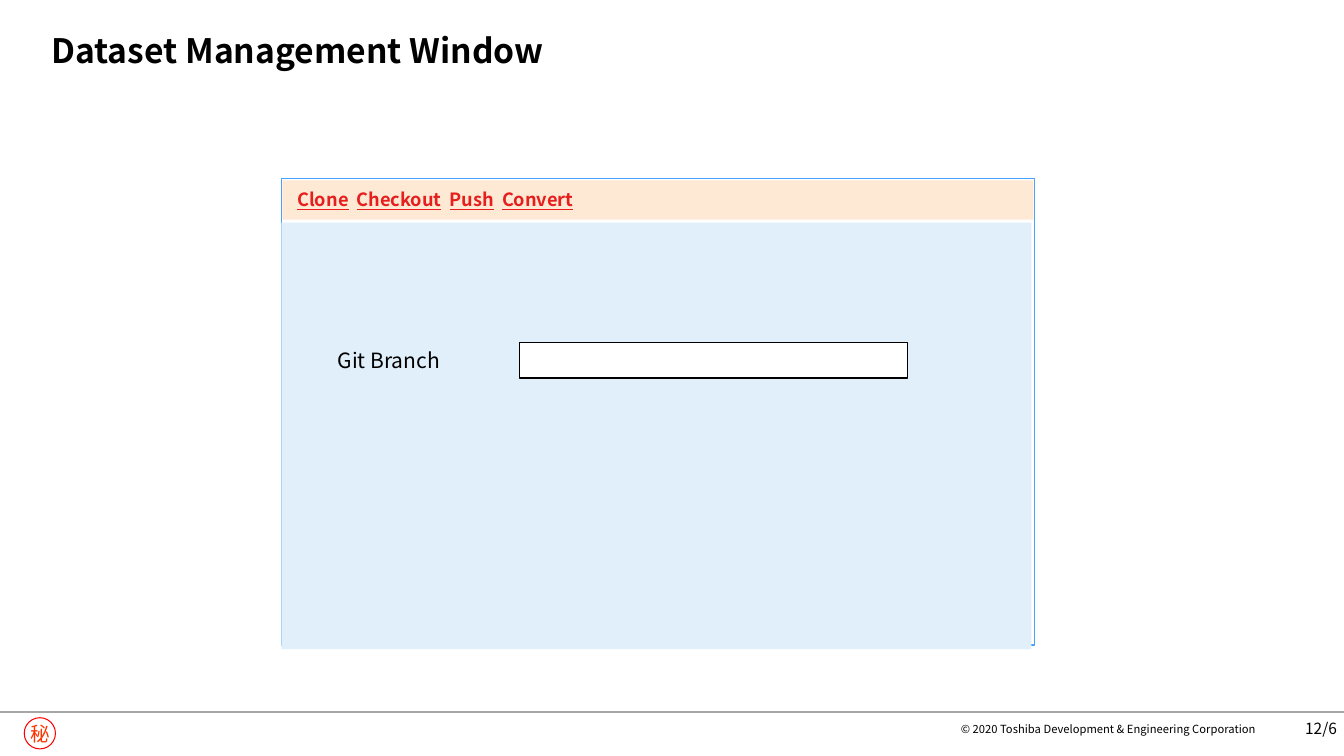
import pptx
import pptx.util
import pptx.dml.color
import pptx.enum.shapes
import pptx.enum.text
import pptx.oxml.ns
import lxml.etree

Inches, Pt = pptx.util.Inches, pptx.util.Pt
RGB = pptx.dml.color.RGBColor.from_string
SHAPE = pptx.enum.shapes.MSO_SHAPE
ALIGN = pptx.enum.text.PP_ALIGN
ANCHOR = pptx.enum.text.MSO_ANCHOR
FIT = pptx.enum.text.MSO_AUTO_SIZE
qn = pptx.oxml.ns.qn

THEME = {
    "font": "Noto Sans CJK JP",
    "black": "000000", "white": "FFFFFF", "rule": "A6A6A6",
    "stamp_line": "FF0000", "stamp_text": "FF3300",
    "frame": "4BA1FF", "body": "E0EFF9", "bar": "FEEAD4", "link": "E61E1E",
    "title_size": 24, "label_size": 15, "stamp_size": 14,
    "menu_size": 13, "page_size": 11, "copyright_size": 8,
}

MENU = [("Clone", 0), ("Checkout", 0.59), ("Push", 1.51), ("Convert", 2.03)]
MENU_BOX = (2.81, 1.82, 6.53, 0.32)

WINDOW = [
    ((2.79, 1.77, 7.47, 4.63), "white", "frame"),
    ((2.79, 2.21, 7.44, 4.23), "body", None),
    ((2.8, 1.79, 7.45, 0.39), "bar", None),
]
BRANCH_FIELD = ((5.15, 3.4, 3.85, 0.35), "white", "black")

STAMP = ("秘", (0.24, 7.12, 0.31, 0.31))
FOOTER_Y = 7.06
NO_INSET = (0, 0, 0, 0)
DEFAULT_INSET = (0.1, 0.05, 0.1, 0.05)

LABELS = [
    {"text": "12/6", "box": (12.55, 7.03, 0.71, 0.4), "size": "page_size",
     "align": ALIGN.RIGHT, "insets": NO_INSET,
     "frame": {"vertical_anchor": ANCHOR.MIDDLE}},
    {"text": "© 2020 Toshiba Development & Engineering Corporation",
     "box": (9.31, 7.17, 3.15, 0.13), "size": "copyright_size",
     "align": ALIGN.RIGHT, "insets": NO_INSET,
     "frame": {"vertical_anchor": ANCHOR.MIDDLE, "word_wrap": False,
               "auto_size": FIT.SHAPE_TO_FIT_TEXT}},
    {"text": "Dataset Management Window", "box": (0, 0, 12.51, 0.82),
     "size": "title_size", "bold": True, "spacing": 0.9,
     "insets": (0.51, 0.12, 0.47, 0.12),
     "frame": {"vertical_anchor": ANCHOR.BOTTOM}},
]
BRANCH_LABEL = {"text": "Git Branch", "box": (3.25, 3.4, 2.18, 0.35),
                "size": "label_size",
                "frame": {"auto_size": FIT.SHAPE_TO_FIT_TEXT}}


def set_frame(tf, insets, values):
    tf.word_wrap = True
    sides = ("margin_left", "margin_top", "margin_right", "margin_bottom")
    margins = {side: Inches(v) for side, v in zip(sides, insets)}
    for name, value in {**margins, **values}.items():
        setattr(tf, name, value)


def add_run(p, text, size, color="black", **values):
    r = p.add_run()
    r.text = text
    values = {"name": THEME["font"], "size": Pt(THEME[size]), **values}
    for name, value in values.items():
        setattr(r.font, name, value)
    r.font.color.rgb = RGB(THEME[color])
    ea = lxml.etree.SubElement(r.font._element, qn("a:ea"))
    ea.set("typeface", THEME["font"])


def add_box(s, box, fill=None, line=None, kind=SHAPE.RECTANGLE, width=1):
    sp = s.shapes.add_shape(kind, *map(Inches, box))
    sp.shadow.inherit = False
    for part, color in ((sp.fill, fill), (sp.line.fill, line)):
        if color:
            part.solid()
            part.fore_color.rgb = RGB(THEME[color])
        else:
            part.background()
    if line:
        sp.line.width = Pt(width)
    return sp


def add_label(s, label):
    sp = s.shapes.add_textbox(*map(Inches, label["box"]))
    tf = sp.text_frame
    set_frame(tf, label.get("insets", DEFAULT_INSET), label["frame"])
    p = tf.paragraphs[0]
    p.alignment = label.get("align", ALIGN.LEFT)
    if "spacing" in label:
        p.line_spacing = label["spacing"]
    add_run(p, label["text"], label["size"], bold=label.get("bold", False))


def add_stamp(s):
    text, box = STAMP
    sp = add_box(s, box, line="stamp_line", kind=SHAPE.OVAL, width=0.75)
    set_frame(sp.text_frame, NO_INSET,
              {"vertical_anchor": ANCHOR.MIDDLE, "word_wrap": False})
    p = sp.text_frame.paragraphs[0]
    p.alignment = ALIGN.CENTER
    add_run(p, text, "stamp_size", "stamp_text")


def add_footer_rule(s, width):
    y = Inches(FOOTER_Y)
    line = s.shapes.add_connector(
        pptx.enum.shapes.MSO_CONNECTOR.STRAIGHT, 0, y, width, y)
    line.line.color.rgb = RGB(THEME["rule"])
    line.line.width = Pt(1.5)
    lxml.etree.SubElement(line._element.spPr, qn("a:effectLst"))


def add_menu(s):
    sp = s.shapes.add_textbox(*map(Inches, MENU_BOX))
    tf = sp.text_frame
    set_frame(tf, (0.14, 0.05, 0.1, 0.05),
              {"auto_size": FIT.SHAPE_TO_FIT_TEXT})
    p = tf.paragraphs[0]
    tabs = lxml.etree.SubElement(p._p.get_or_add_pPr(), qn("a:tabLst"))
    for text, offset in MENU:
        if offset:
            tab = lxml.etree.SubElement(tabs, qn("a:tab"))
            tab.set("pos", str(Inches(offset)))
            tab.set("algn", "l")
            add_run(p, "\t", "menu_size", bold=True)
        add_run(p, text, "menu_size", "link", bold=True, underline=True)


def main():
    prs = pptx.Presentation()
    prs.slide_width, prs.slide_height = Inches(13.33), Inches(7.5)
    s = prs.slides.add_slide(prs.slide_layouts[6])
    add_stamp(s)
    add_footer_rule(s, prs.slide_width)
    for label in LABELS:
        add_label(s, label)
    for box in WINDOW:
        add_box(s, *box)
    add_menu(s)
    add_label(s, BRANCH_LABEL)
    add_box(s, *BRANCH_FIELD)
    prs.save("out.pptx")


if __name__ == "__main__":
    main()
